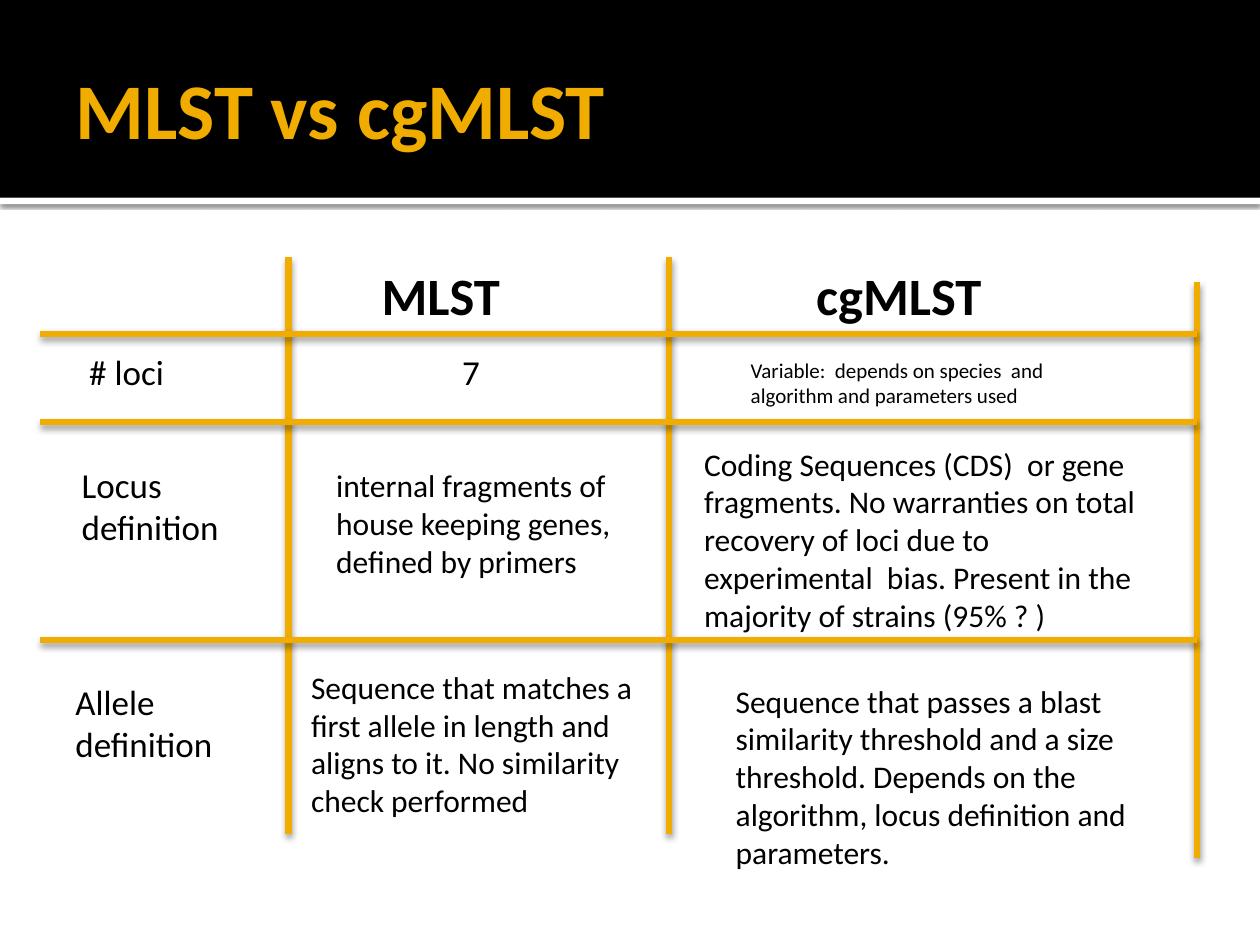
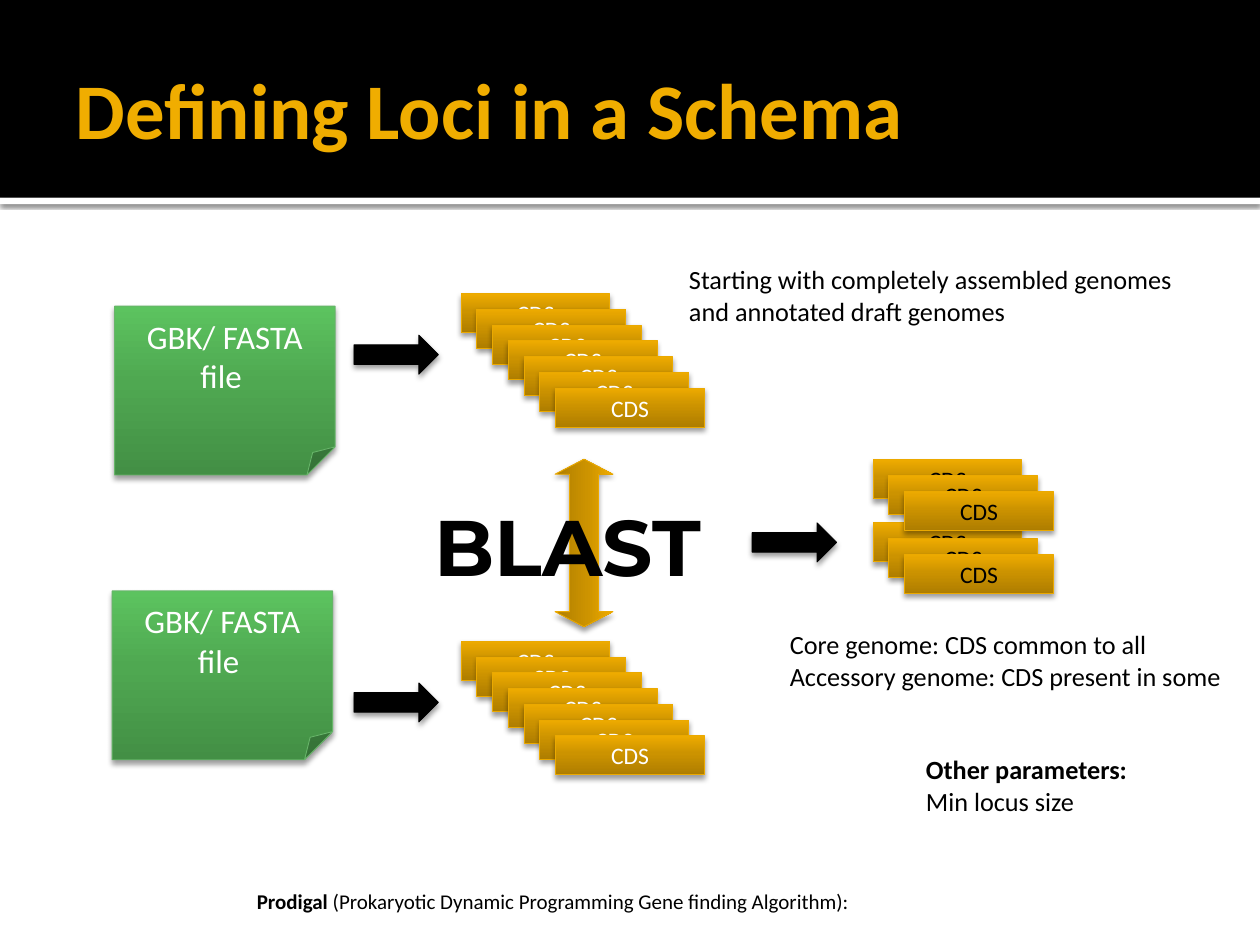
from copy import deepcopy

from lxml import etree
from pptx import Presentation
from pptx.dml.color import RGBColor
from pptx.enum.shapes import MSO_CONNECTOR, MSO_SHAPE
from pptx.enum.text import MSO_ANCHOR, PP_ALIGN
from pptx.oxml.ns import qn
from pptx.util import Inches, Pt

RECT, FOLD = MSO_SHAPE.RECTANGLE, MSO_SHAPE.FOLDED_CORNER
RIGHT, DOUBLE = MSO_SHAPE.RIGHT_ARROW, MSO_SHAPE.LEFT_RIGHT_ARROW
LINE = MSO_CONNECTOR.STRAIGHT
TOP, MIDDLE, CENTER = MSO_ANCHOR.TOP, MSO_ANCHOR.MIDDLE, PP_ALIGN.CENTER

BLACK, WHITE = RGBColor(0, 0, 0), RGBColor(255, 255, 255)
GOLD = RGBColor(0xF0, 0xAD, 0x00)
GOLD_EDGE, GREEN_EDGE = RGBColor(0xEB, 0xA9, 0x00), RGBColor(0x67, 0xB5, 0x69)
GOLDS = [RGBColor.from_string(c) for c in ("AE7D00", "CC9300", "EEAB00")]
GREENS = [RGBColor.from_string(c) for c in ("438F45", "4FA851", "5CC35F")]
INK = [BLACK]


def shade(shape, blur=3.1, drop=2, alpha=38):
    """Give a shape or line a soft shadow straight below it."""
    effects = etree.SubElement(shape._element.spPr, qn("a:effectLst"))
    outer = etree.SubElement(effects, qn("a:outerShdw"), blurRad=str(Pt(blur)),
                             dist=str(Pt(drop)), dir="5400000", algn="tl", rotWithShape="0")
    color = etree.SubElement(outer, qn("a:srgbClr"), val="000000")
    etree.SubElement(color, qn("a:alpha"), val=str(alpha * 1000))


def write(shape, text, size, ink=BLACK, bold=False, font="Calibri"):
    """Fill a shape with text in one style."""
    frame = shape.text_frame
    frame.word_wrap = True
    frame.text = text
    for par in frame.paragraphs:
        for run in par.runs:
            run.font.size, run.font.name = Pt(size), font
            run.font.bold, run.font.color.rgb = bold, ink
    return frame


deck = Presentation()
deck.slide_width, deck.slide_height = Inches(10), Inches(7.5)
layout = deck.slide_layouts[5]
versus, schema = [deck.slides.add_slide(layout) for _ in range(2)]

# Header bands, moved to the shared layout
for pos, (top, high, color) in enumerate([(1.57, 0.05, WHITE), (0, 1.57, BLACK)]):
    band = versus.shapes.add_shape(RECT, 0, Inches(top), Inches(10), Inches(high))
    band.fill.solid()
    band.fill.fore_color.rgb = color
    band.line.fill.background()
    if color == WHITE:
        shade(band, 2.5, 0.8, 60)
    else:
        band.shadow.inherit = False
    layout.shapes._spTree.insert(2 + pos, band._element)

# Titles
for slide, text in [(versus, "MLST vs cgMLST"), (schema, "Defining Loci in a Schema")]:
    title = slide.shapes.title
    title.left, title.top, title.width, title.height = map(Inches, (0.5, 0.17, 9, 1.37))
    frame = write(title, text, 45, GOLD, True)
    frame.vertical_anchor = MIDDLE
    frame.margin_left = Inches(0.1)
    frame.margin_top = frame.margin_right = frame.margin_bottom = Inches(0.05)
    frame.paragraphs[0].alignment = PP_ALIGN.LEFT

# Comparison grid
rows = [(0.32, y, 9.5, y) for y in (2.65, 3.35, 5.08)]
cols = [(x, low, x, high) for x, low, high in
        [(2.29, 6.62, 2.04), (5.31, 6.62, 2.04), (9.5, 6.81, 2.24)]]
for ends in cols + rows:
    rule = versus.shapes.add_connector(LINE, *map(Inches, ends))
    rule.line.color.rgb = GOLD
    rule.line.width = Pt(3.78)
    shade(rule, 3.5)

# Comparison texts: left, top, width, height, size, bold, text
cells = [
    (2.93, 2.04, 1.34, 0.61, 30, True, "MLST"),
    (6.38, 2.04, 1.76, 0.61, 30, True, "cgMLST"),
    (0.61, 2.73, 0.84, 0.44, 20, False, "# loci"),
    (3.57, 2.73, 0.32, 0.44, 20, False, "7"),
    (5.86, 2.79, 3.08, 0.5, 12, False,
     "Variable:  depends on species  and algorithm and parameters used"),
    (0.55, 3.63, 1.37, 0.77, 20, False, "Locus\ndefinition"),
    (2.57, 3.65, 2.65, 1.01, 18, False,
     "internal fragments of  house keeping genes, defined by primers"),
    (5.49, 3.48, 3.64, 1.62, 18, False,
     "Coding Sequences (CDS)  or gene fragments. No warranties on total recovery of loci "
     "due to experimental  bias. Present in the majority of strains (95% ? )"),
    (0.5, 5.35, 1.32, 0.77, 20, False, "Allele\ndefinition"),
    (2.37, 5.25, 2.85, 1.31, 18, False,
     "Sequence that matches a first allele in length and aligns to it. "
     "No similarity check performed"),
    (5.74, 5.36, 3.39, 1.62, 18, False,
     "Sequence that passes a blast similarity threshold and a size threshold. "
     "Depends on the algorithm, locus definition and parameters."),
]
for *area, size, bold, text in cells:
    write(versus.shapes.add_textbox(*map(Inches, area)), text, size, bold=bold)

# Workflow shapes: kind, left, top, width, height, fill colours, edge, text, size, ink
parts = [(DOUBLE, 3.97, 4.08, 1.33, 0.46, GOLDS, GOLD_EDGE, "", 0, WHITE)]
for x, y in [(0.91, 2.43), (0.89, 4.69)]:
    parts.append((FOLD, x, y, 1.75, 1.34, GREENS, GREEN_EDGE, "GBK/ FASTA\nfile ", 18.8, WHITE))
for x, y in [(2.81, 2.66), (2.81, 5.42), (5.97, 4.15)]:
    parts.append((RIGHT, x, y, 0.67, 0.31, INK, BLACK, "", 0, WHITE))

# Cascades of CDS cards, each card an eighth of an inch on from the last
for x, tops, count, ink in [(3.66, (2.33, 5.09), 7, WHITE), (6.93, (3.65, 4.15), 3, BLACK)]:
    for i in range(count):
        for y in tops:
            parts.append((RECT, x + i / 8, y + i / 8, 1.18, 0.31,
                          GOLDS, GOLD_EDGE, "CDS", 13.5, ink))

for kind, *area, fills, edge, text, size, ink in parts:
    part = schema.shapes.add_shape(kind, *map(Inches, area))
    if len(fills) == 1:
        part.fill.solid()
        part.fill.fore_color.rgb = fills[0]
    else:
        part.fill.gradient()
        part.fill.gradient_angle = 90
        stops = part._element.spPr.find(".//" + qn("a:gsLst"))
        stops.insert(1, deepcopy(stops[0]))
        for stop, spot, color in zip(part.fill.gradient_stops, (0, 0.55, 1), fills):
            stop.position, stop.color.rgb = spot, color
    part.line.color.rgb = edge
    part.line.width = Pt(0.5)
    shade(part)
    if kind == DOUBLE:
        part.rotation = 90
        part.adjustments[0], part.adjustments[1] = 0.5, 0.26
    if text:
        frame = write(part, text, size, ink)
        frame.vertical_anchor = TOP if kind == FOLD else MIDDLE
        if kind == FOLD:
            frame.margin_top = Inches(0.08)
        for par in frame.paragraphs:
            par.alignment = CENTER

# Workflow notes: left, top, width, height, size, text
notes = [
    (5.37, 2.04, 4.17, 0.61, 15,
     "Starting with completely assembled genomes\nand annotated draft genomes"),
    (6.17, 4.94, 3.82, 0.61, 15,
     "Core genome: CDS common to all\nAccessory genome: CDS present in some"),
    (7.25, 5.93, 1.89, 0.61, 15, "Other parameters:\nMin locus size"),
]
for *area, size, text in notes:
    frame = write(schema.shapes.add_textbox(*map(Inches, area)), text, size)
frame.paragraphs[0].runs[0].font.bold = True

blast = schema.shapes.add_textbox(*map(Inches, (3.35, 3.9, 2.52, 0.86)))
write(blast, "BLAST", 45, bold=True, font="Montserrat")

# Gene finder credit, name in bold
finder = schema.shapes.add_textbox(*map(Inches, (1.94, 7, 5.64, 0.3)))
par = write(finder, "Prodigal", 12, bold=True).paragraphs[0]
rest = par.add_run()
rest.text = " (Prokaryotic Dynamic Programming Gene finding Algorithm):"
rest.font.size, rest.font.name, rest.font.color.rgb = Pt(12), "Calibri", BLACK

deck.save("out.pptx")
